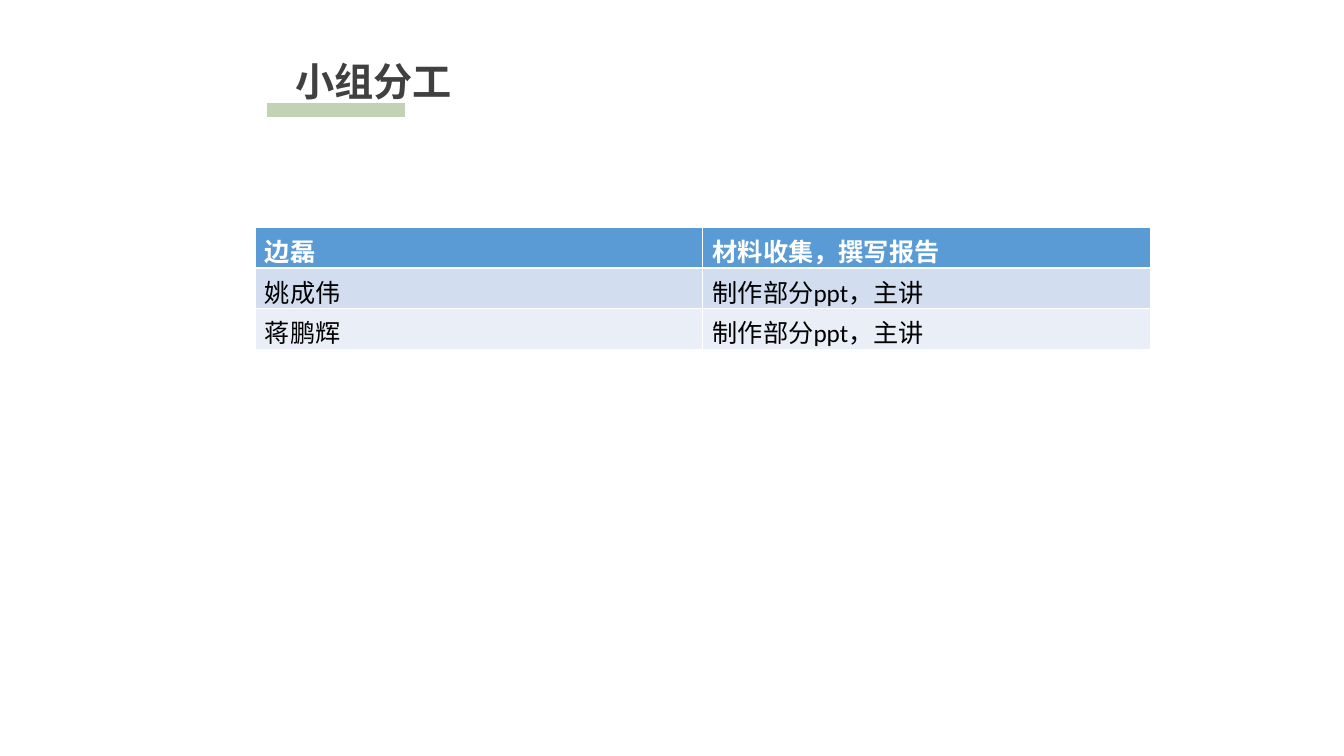
from dataclasses import dataclass

from lxml import etree
from pptx import Presentation
from pptx.dml.color import RGBColor
from pptx.enum.shapes import MSO_CONNECTOR
from pptx.enum.text import MSO_ANCHOR, MSO_AUTO_SIZE, PP_ALIGN
from pptx.oxml.ns import qn
from pptx.util import Inches, Pt

STRAIGHT = MSO_CONNECTOR.STRAIGHT
TOP = MSO_ANCHOR.TOP
GROW = MSO_AUTO_SIZE.SHAPE_TO_FIT_TEXT
CENTER = PP_ALIGN.CENTER
TITLE_ONLY = 5


@dataclass(frozen=True)
class Theme:
    """Colours, fonts and point sizes of the slide."""
    title_color: str = "404040"
    accent: str = "C2D2B5"
    header_fill: str = "5B9BD5"
    band_fills: tuple = ("D2DEEF", "EAEFF7")
    header_text: str = "FFFFFF"
    body_text: str = "000000"
    border: str = "FFFFFF"
    title_font: str = "TeX Gyre Adventor"
    body_font: str = "Calibri"
    title_size: float = 28
    body_size: float = 18
    accent_width: float = 10
    thin_border: float = 0.45
    header_border: float = 1.47


THEME = Theme()
ASSIGNMENTS = [
    ("边磊", "材料收集，撰写报告"),
    ("姚成伟", "制作部分ppt，主讲"),
    ("蒋鹏辉", "制作部分ppt，主讲"),
]


def set_attributes(target, values):
    """Set every attribute in values on target."""
    for name, value in values.items():
        setattr(target, name, value)


def format_font(font, name, size, color, bold):
    """Apply typeface, size, colour and weight."""
    set_attributes(font, {"name": name, "size": Pt(size), "bold": bold})
    font.color.rgb = RGBColor.from_string(color)


def add_title(slide, text):
    """Place and format the title placeholder."""
    title = slide.shapes.title
    set_attributes(title, {
        "left": Inches(1.35), "top": Inches(0.52),
        "width": Inches(4.72), "height": Inches(0.57),
    })
    set_attributes(title.text_frame, {
        "text": text, "word_wrap": True, "auto_size": GROW, "vertical_anchor": TOP,
    })
    paragraph = title.text_frame.paragraphs[0]
    paragraph.alignment = CENTER
    format_font(paragraph.font, THEME.title_font, THEME.title_size, THEME.title_color, True)


def add_underline(slide):
    """Draw the thick accent line under the title."""
    line_top = Inches(1.09)
    connector = slide.shapes.add_connector(
        STRAIGHT, Inches(2.65), line_top, Inches(4.02), line_top)
    connector.line.color.rgb = RGBColor.from_string(THEME.accent)
    connector.line.width = Pt(THEME.accent_width)
    etree.SubElement(connector.element.spPr, qn("a:effectLst"))


def add_borders(cell, widths):
    """Give a cell solid borders, one width for each side."""
    properties = cell._tc.get_or_add_tcPr()
    for side, width in widths.items():
        line = etree.SubElement(properties, qn(f"a:ln{side}"), w=str(Pt(width)))
        fill = etree.SubElement(line, qn("a:solidFill"))
        etree.SubElement(fill, qn("a:srgbClr"), val=THEME.border)


def format_cell(cell, text, row_index):
    """Fill in one cell in the header or banded style."""
    is_header = row_index == 0
    widths = dict.fromkeys("LRTB", THEME.thin_border)
    if is_header:
        widths["B"] = THEME.header_border
    elif row_index == 1:
        widths["T"] = THEME.header_border
    add_borders(cell, widths)
    fill = THEME.header_fill if is_header else THEME.band_fills[(row_index - 1) % 2]
    cell.fill.solid()
    cell.fill.fore_color.rgb = RGBColor.from_string(fill)
    cell.text = text
    color = THEME.header_text if is_header else THEME.body_text
    format_font(cell.text_frame.paragraphs[0].runs[0].font,
                THEME.body_font, THEME.body_size, color, is_header)


def add_assignment_table(slide, rows):
    """Add the table of members and their tasks."""
    table = slide.shapes.add_table(
        len(rows), len(rows[0]),
        Inches(2.53), Inches(2.25), Inches(8.89), Inches(1.22)).table
    for row_index, row in enumerate(rows):
        for column_index, text in enumerate(row):
            format_cell(table.cell(row_index, column_index), text, row_index)


def main():
    """Build and save the slide."""
    presentation = Presentation()
    set_attributes(presentation, {
        "slide_width": Inches(13.34), "slide_height": Inches(7.5),
    })
    slide = presentation.slides.add_slide(presentation.slide_layouts[TITLE_ONLY])
    add_title(slide, "小组分工")
    add_underline(slide)
    add_assignment_table(slide, ASSIGNMENTS)
    presentation.save("out.pptx")


if __name__ == "__main__":
    main()
